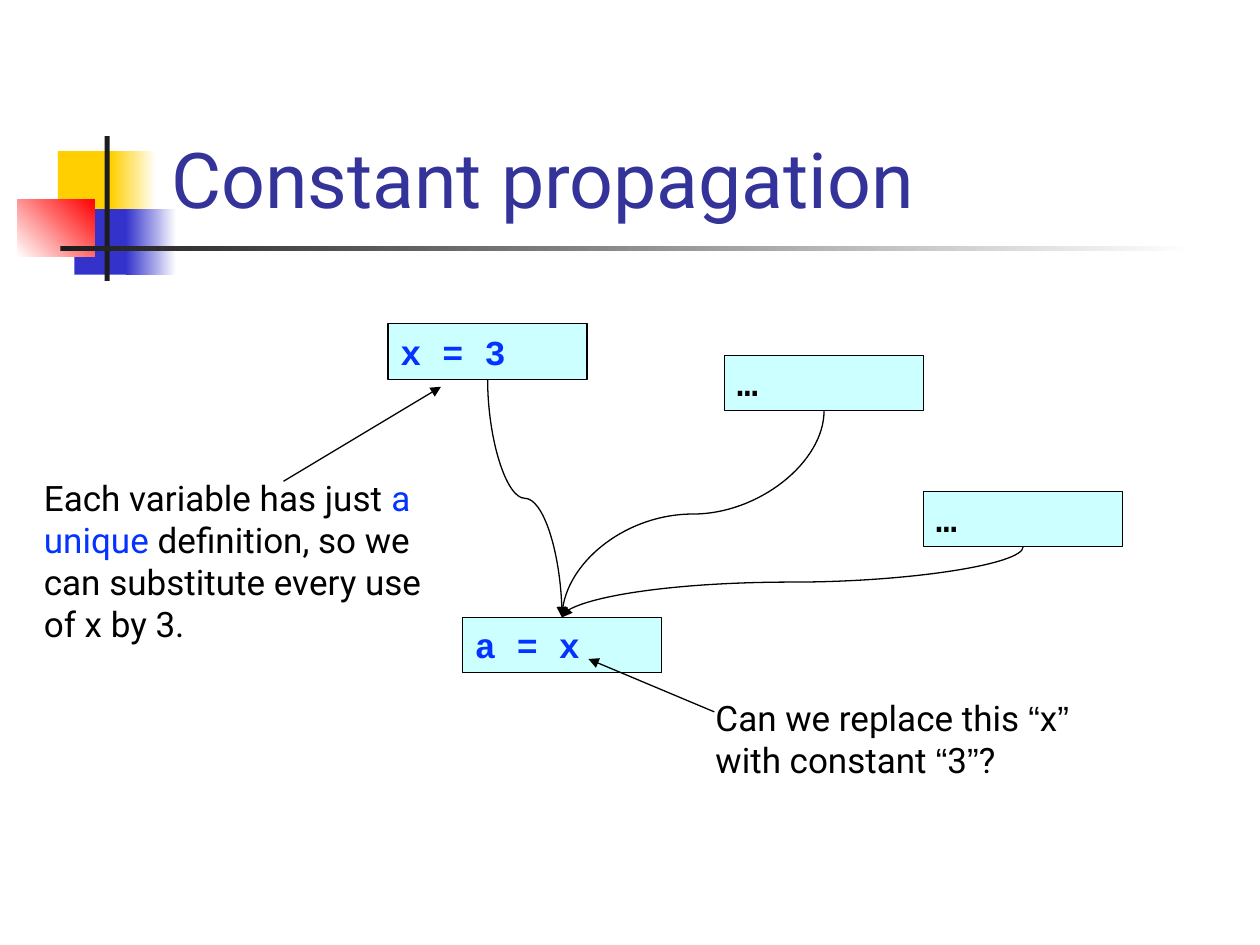
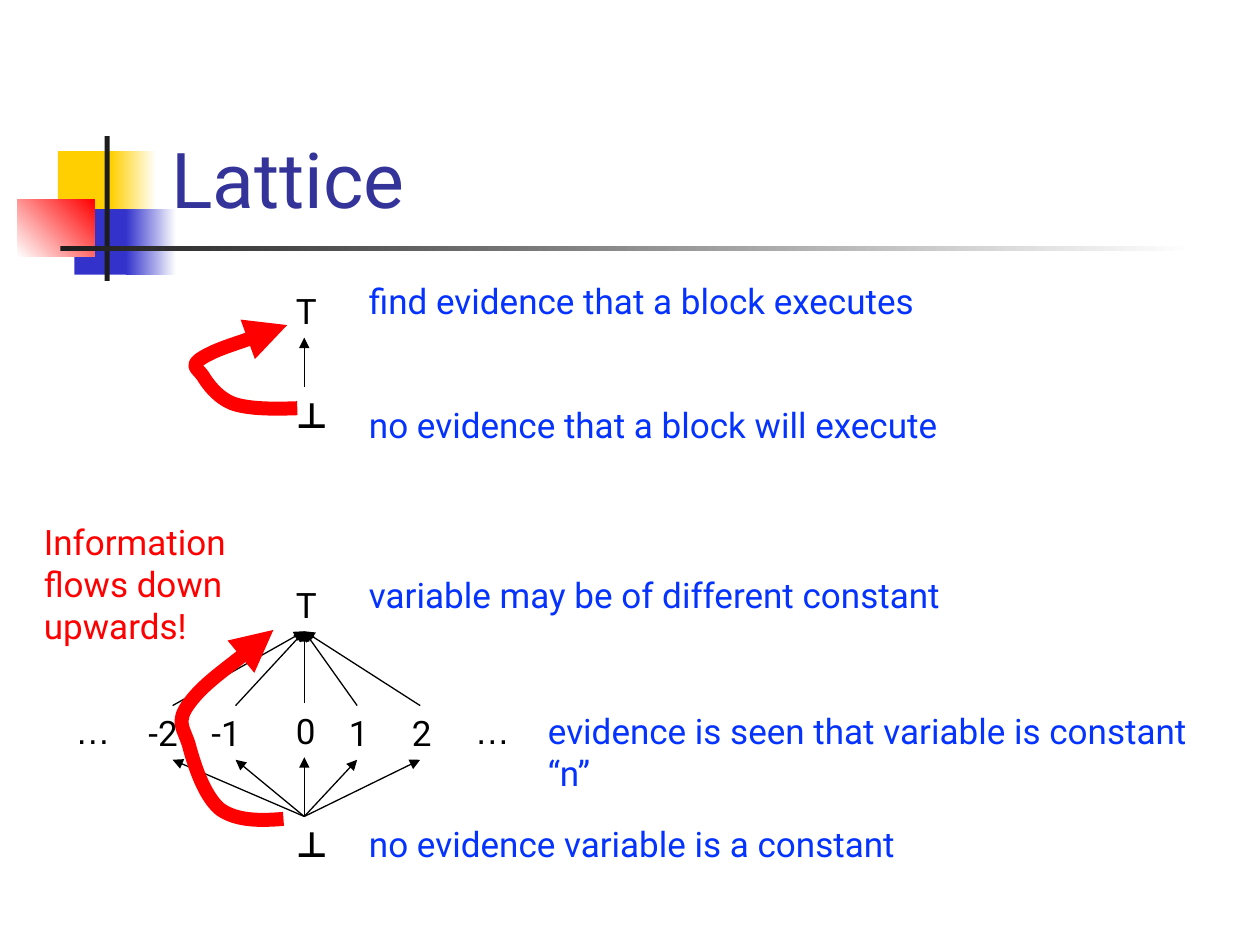
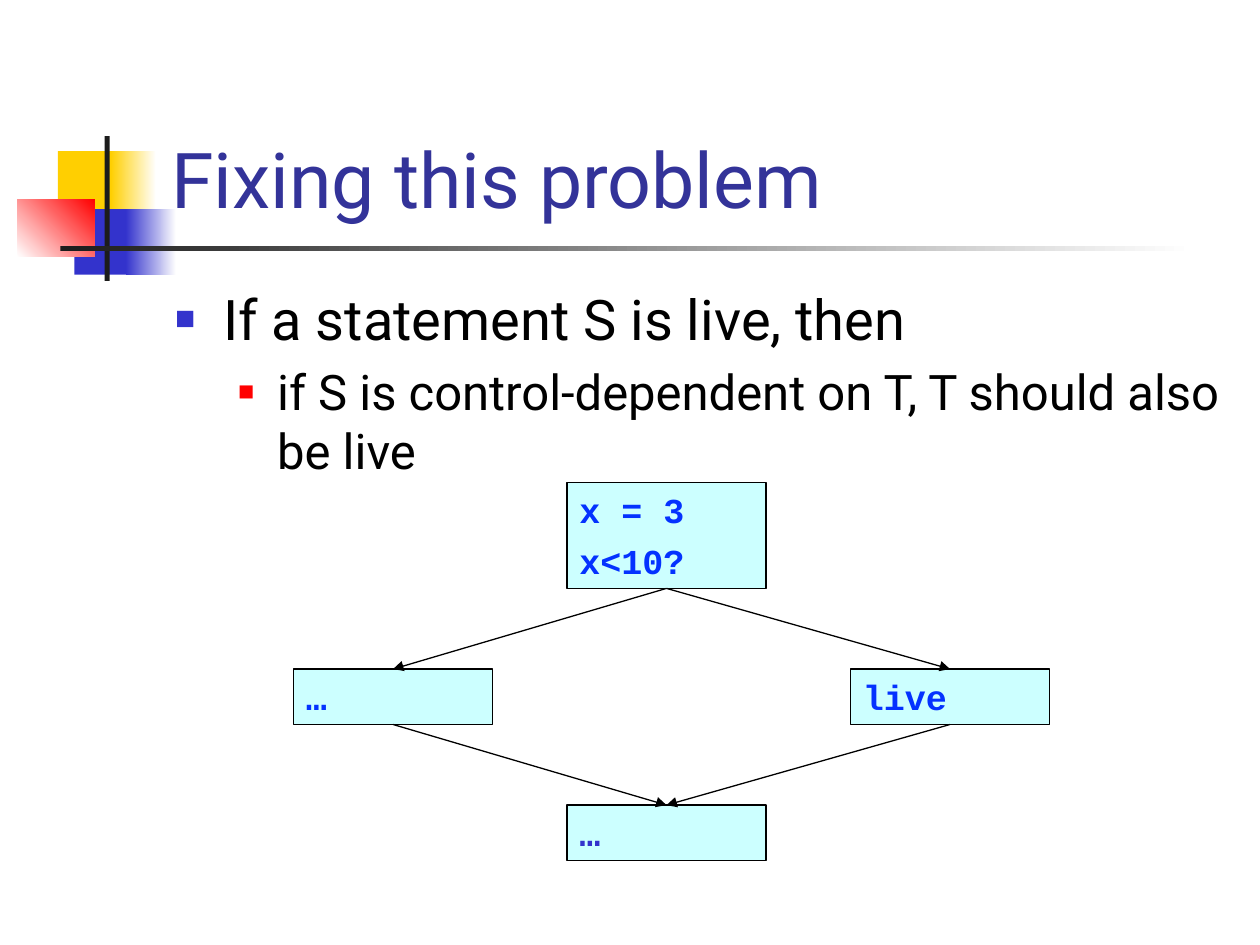
from pptx import Presentation
from pptx.dml.color import RGBColor
from pptx.enum.shapes import MSO_CONNECTOR, MSO_SHAPE
from pptx.enum.text import MSO_ANCHOR, MSO_AUTO_SIZE, PP_ALIGN
from pptx.oxml.ns import qn
from pptx.oxml.xmlchemy import OxmlElement
from pptx.util import Inches, Pt

BLACK, WHITE, RED = "000000", "FFFFFF", "FF0000"
BLUE, INDIGO, NAVY = "0432FF", "3333CC", "333399"
YELLOW, CHARCOAL, CYAN = "FFCF01", "1C1C1C", "CCFFFF"
SANS, SYMBOL, CODE = "Roboto", "Arial", "Courier New"
TOP, BOTTOM = 0, 2
BLOCK_WIDTH, BLOCK_HEIGHT = 1.58, 0.44
SYMBOL_WIDTH, LINE_HEIGHT = 0.33, 0.43
FLOW_CURVE = [
    (-0.19, -0.01), (-0.37, -0.01), (-0.5, 0.05),
    (-0.63, 0.12), (-0.71, 0.29), (-0.75, 0.39),
    (-0.79, 0.48), (-0.86, 0.51), (-0.75, 0.61),
    (-0.64, 0.71), (-0.19, 0.93), (-0.08, 1),
]


def color(value):
    return RGBColor.from_string(value)


def lengths(*values):
    return [Inches(value) for value in values]


def add_run(paragraph, text, size=20, font=SANS, fill=BLACK, bold=False):
    run = paragraph.add_run()
    run.text = text
    run.font.size = Pt(size)
    run.font.name = font
    run.font.bold = bold
    run.font.color.rgb = color(fill)


def prepare_frame(shape, anchor=MSO_ANCHOR.TOP):
    frame = shape.text_frame
    frame.word_wrap = True
    frame.auto_size = MSO_AUTO_SIZE.NONE
    frame.vertical_anchor = anchor
    return frame


def add_text(slide, box, runs):
    shape = slide.shapes.add_textbox(*lengths(*box))
    paragraph = prepare_frame(shape).paragraphs[0]
    for text, style in runs:
        add_run(paragraph, text, **style)
    return shape


def add_label(slide, box, text, **style):
    return add_text(slide, box, [(text, style)])


def add_block(slide, left, top, lines, fill=BLUE, height=BLOCK_HEIGHT):
    block = slide.shapes.add_shape(
        MSO_SHAPE.RECTANGLE, *lengths(left, top, BLOCK_WIDTH, height))
    block.shadow.inherit = False
    block.fill.solid()
    block.fill.fore_color.rgb = color(CYAN)
    block.line.color.rgb = color(BLACK)
    block.line.width = Pt(0.75)
    frame = prepare_frame(block)
    for index, text in enumerate(lines):
        paragraph = frame.add_paragraph() if index else frame.paragraphs[0]
        paragraph.alignment = PP_ALIGN.LEFT
        if index:
            paragraph.space_before = Pt(4.8)
        add_run(paragraph, text, font=CODE, fill=fill, bold=True)
    return block


def style_arrow(shape, fill=BLACK, width=0.75):
    shape.line.color.rgb = color(fill)
    shape.line.width = Pt(width)
    head = OxmlElement("a:tailEnd")
    head.set("type", "triangle")
    shape.line._get_or_add_ln().append(head)


def add_arrow(slide, start, end, kind=MSO_CONNECTOR.STRAIGHT):
    arrow = slide.shapes.add_connector(kind, *lengths(*start, *end))
    style_arrow(arrow)
    arrow.element.spPr.append(OxmlElement("a:effectLst"))
    return arrow


def join(slide, source, target, source_side=BOTTOM, target_side=TOP):
    arrow = add_arrow(slide, (0, 0), (1, 1))
    arrow.begin_connect(source, source_side)
    arrow.end_connect(target, target_side)


def add_drop_curve(slide, start, end):
    center_x, center_y = (start[0] + end[0]) / 2, (start[1] + end[1]) / 2
    half_x, half_y = abs(end[0] - start[0]) / 2, (end[1] - start[1]) / 2
    rightward = end[0] > start[0]
    reach = -half_y if rightward else half_y
    curve = add_arrow(
        slide, (center_x - reach, center_y - half_x),
        (center_x + reach, center_y + half_x), MSO_CONNECTOR.CURVE)
    curve.rotation = 270 if rightward else 90


def add_flow_arrow(slide, left, bottom, height):
    points = [lengths(left + x, bottom - y * height) for x, y in FLOW_CURVE]
    builder = slide.shapes.build_freeform(*lengths(left, bottom), scale=1.0)
    builder.add_line_segments(points, close=False)
    arrow = builder.convert_to_shape()
    arrow.shadow.inherit = False
    arrow.fill.background()
    segments = list(arrow.element.iter(qn("a:lnTo")))
    for index in range(0, len(segments), 3):
        bezier = OxmlElement("a:cubicBezTo")
        segments[index].addprevious(bezier)
        for segment in segments[index:index + 3]:
            bezier.append(segment[0])
            segment.getparent().remove(segment)
    style_arrow(arrow, RED, 8)


def add_master_emblem(master, slide, left, top):
    bars = [
        (0.32, 0.12, 0.48, 0.52, YELLOW, None, 0),
        (0.74, 0.12, 0.36, 0.52, YELLOW, WHITE, 0),
        (0.45, 0.58, 0.46, 0.52, INDIGO, None, 0),
        (0.86, 0.58, 0.4, 0.52, INDIGO, WHITE, 0),
        (0, 0.5, 0.61, 0.46, WHITE, RED, 45),
        (0.69, 0, 0.04, 1.15, CHARCOAL, None, 0),
        (0.34, 0.87, 9, 0.04, CHARCOAL, WHITE, 0),
    ]
    for index, (x, y, width, height, first, second, angle) in enumerate(bars):
        bar = slide.shapes.add_shape(
            MSO_SHAPE.RECTANGLE, *lengths(left + x, top + y, width, height))
        bar.shadow.inherit = False
        bar.line.fill.background()
        if second:
            bar.fill.gradient()
            bar.fill.gradient_angle = angle
            for stop, value in zip(bar.fill.gradient_stops, (first, second)):
                stop.color.rgb = color(value)
        else:
            bar.fill.solid()
            bar.fill.fore_color.rgb = color(first)
        master.shapes.element.insert(2 + index, bar.element)


def place(shape, box):
    shape.left, shape.top, shape.width, shape.height = lengths(*box)


def add_slide(presentation, layout_index, title_text):
    slide = presentation.slides.add_slide(
        presentation.slide_layouts[layout_index])
    title = slide.shapes.title
    place(title, (1.26, 0.23, 8.52, 1.6))
    paragraph = prepare_frame(title, MSO_ANCHOR.BOTTOM).paragraphs[0]
    paragraph.alignment = PP_ALIGN.LEFT
    add_run(paragraph, title_text, 44, fill=NAVY)
    return slide


def add_bullets(slide, box, items):
    body = slide.placeholders[1]
    place(body, box)
    frame = prepare_frame(body)
    for level, (text, size, margin, indent, fill, percent) in enumerate(items):
        paragraph = frame.add_paragraph() if level else frame.paragraphs[0]
        paragraph.level = level
        properties = paragraph._p.get_or_add_pPr()
        properties.set("marL", str(Inches(margin)))
        properties.set("indent", str(Inches(indent)))
        bullet_color = OxmlElement("a:buClr")
        swatch = OxmlElement("a:srgbClr")
        swatch.set("val", fill)
        bullet_color.append(swatch)
        bullet_size = OxmlElement("a:buSzPct")
        bullet_size.set("val", str(percent * 1000))
        bullet = OxmlElement("a:buChar")
        bullet.set("char", "■")
        for element in (bullet_color, bullet_size, bullet):
            properties.append(element)
        paragraph.space_before = Pt(size * 0.2 if level else 0)
        add_run(paragraph, text, size)


def add_propagation_graph(slide, left, top):
    use_x, use_y = left + 0.59, top + 2.33
    add_block(slide, use_x, use_y, ["a = x"])
    target = (use_x + BLOCK_WIDTH / 2, use_y)
    definitions = [(0, 0, "x = 3", BLUE), (2.67, 0.25, "…", BLACK),
                   (4.25, 1.33, "…", BLACK)]
    for x, y, text, fill in definitions:
        add_block(slide, left + x, top + y, [text], fill)
        start = (left + x + BLOCK_WIDTH / 2, top + y + BLOCK_HEIGHT)
        add_drop_curve(slide, start, target)


def add_propagation_notes(slide, left, top):
    quote = {"font": SYMBOL}
    add_text(slide, (left + 5.33, top + 1.75, 3.25, 0.77), [
        ("Can we replace this ", {}), ("“", quote), ("x", {}), ("”", quote),
        (" with constant ", {}), ("“", quote), ("3", {}), ("”", quote),
        ("?", {}),
    ])
    add_arrow(slide, (left + 5.42, top + 1.92), (left + 4.42, top + 1.5))
    add_text(slide, (left, top, 3.25, 1.43), [
        ("Each variable has just ", {}),
        ("a unique", {"fill": BLUE}),
        (" definition, so we can substitute every use of x by 3.", {}),
    ])
    add_arrow(slide, (left + 2, top + 0.09), (left + 3.25, top - 0.66))


def add_extremes(slide, left, top, drop):
    upper = add_label(slide, (left, top, SYMBOL_WIDTH, LINE_HEIGHT), "T")
    lower = add_label(slide, (left, top + drop, SYMBOL_WIDTH, LINE_HEIGHT),
                      "⊥", bold=True)
    return upper, lower


def add_meanings(slide, left, top, meanings):
    for x, y, width, text in meanings:
        add_label(slide, (left + x, top + y, width, BLOCK_HEIGHT), text,
                  fill=BLUE)


def add_execution_lattice(slide, left, top):
    upper, lower = add_extremes(slide, left, top, 0.82)
    join(slide, lower, upper, TOP, BOTTOM)
    add_meanings(slide, left, top, [
        (0.58, -0.08, 4.58, "find evidence that a block executes"),
        (0.58, 0.9, 5.17, "no evidence that a block will execute"),
    ])
    add_flow_arrow(slide, left + 0.11, top + 0.99, 0.66)


def add_constant_lattice(slide, left, top):
    upper, lower = add_extremes(slide, left, top, 1.9)
    constants = [(-1.17, 1.02, 0.58, "-2"), (-0.67, 1.02, 0.58, "-1"),
                 (0, 1, SYMBOL_WIDTH, "0"), (0.42, 1.02, SYMBOL_WIDTH, "1"),
                 (0.92, 1.02, SYMBOL_WIDTH, "2")]
    for x, y, width, text in constants:
        node = add_label(slide, (left + x, top + y, width, LINE_HEIGHT), text)
        join(slide, lower, node, TOP, BOTTOM)
        join(slide, node, upper, TOP, BOTTOM)
    for x in (-1.75, 1.42):
        add_label(slide, (left + x, top + 1, 0.6, LINE_HEIGHT), "…",
                  font=SYMBOL)
    add_meanings(slide, left, top, [
        (0.58, -0.08, 4.92, "variable may be of different constant"),
        (2, 1, 5.58, "evidence is seen that variable is constant “n”"),
        (0.58, 1.9, 4.92, "no evidence variable is a constant"),
    ])
    add_label(slide, (left - 2, top - 0.5, 1.67, 1.1),
              "Information flows down upwards!", fill=RED)
    add_flow_arrow(slide, left, top + 1.92, 1.5)


def add_branch_graph(slide, left, top):
    test = add_block(slide, left + 2.17, top, ["x = 3", "x<10?"], height=0.84)
    skipped = add_block(slide, left, top + 1.48, ["…"])
    merge = add_block(slide, left + 2.17, top + 2.56, ["…"], INDIGO)
    live = add_block(slide, left + 4.42, top + 1.48, ["live"])
    for branch in (skipped, live):
        join(slide, test, branch)
        join(slide, branch, merge)


def main():
    presentation = Presentation()
    presentation.slide_width, presentation.slide_height = lengths(10, 7.5)

    propagation = add_slide(presentation, 5, "Constant propagation")
    add_master_emblem(presentation.slide_master, propagation, 0.14, 1.08)
    add_propagation_graph(propagation, 3.08, 2.57)
    add_propagation_notes(propagation, 0.25, 3.73)

    lattice = add_slide(presentation, 5, "Lattice")
    add_execution_lattice(lattice, 2.25, 2.25)
    add_constant_lattice(lattice, 2.25, 4.58)

    fixing = add_slide(presentation, 1, "Fixing this problem")
    add_bullets(fixing, (1.29, 2.21, 8.5, 4.5), [
        ("If a statement S is live, then", 32, 0.38, -0.38, INDIGO, 60),
        ("if S is control-dependent on T, T should also be live",
         28, 0.81, -0.31, RED, 55),
    ])
    add_branch_graph(fixing, 2.33, 3.83)

    presentation.save("out.pptx")


if __name__ == "__main__":
    main()
